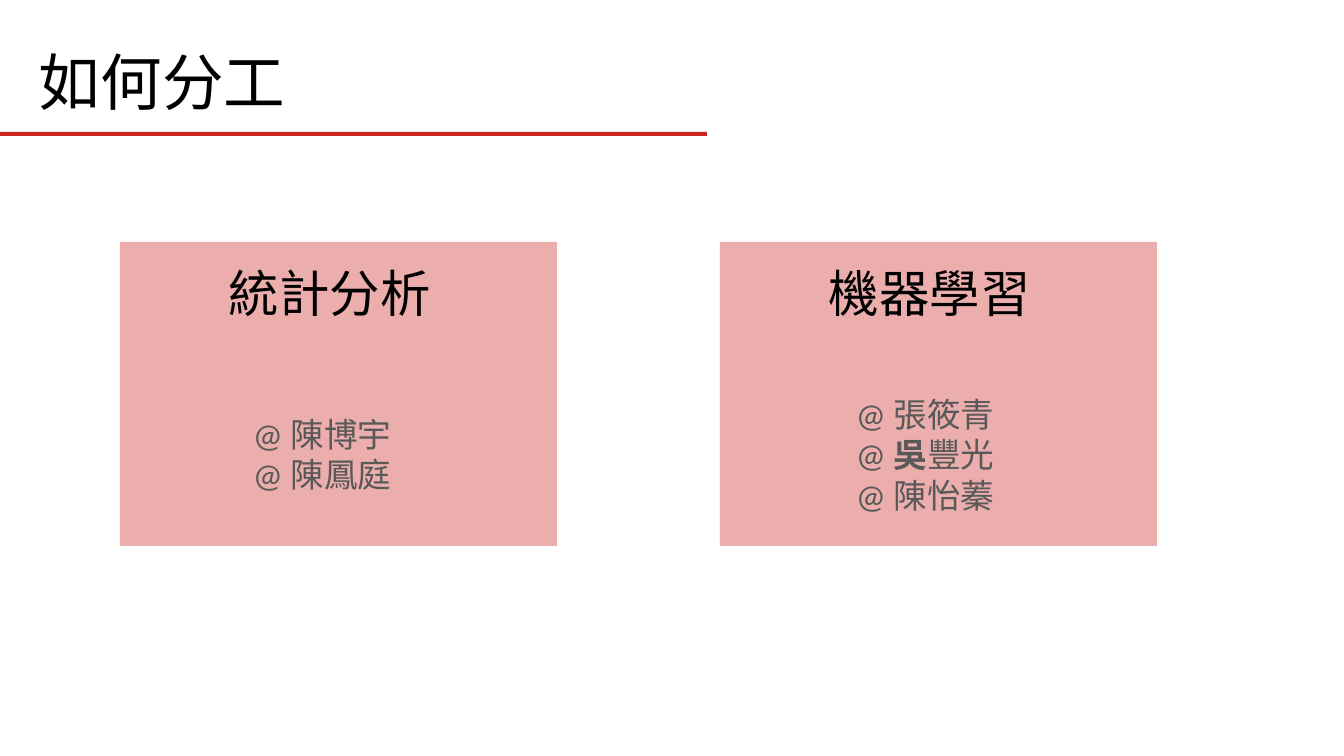
from lxml import etree
from pptx import Presentation
from pptx import util as u
from pptx.dml.color import RGBColor
from pptx.enum import shapes, text
from pptx.oxml.ns import qn

EMU_PER_PX = 914400 / 100.8
COLORS = {"red": "CB2521", "heading": "000000", "member": "595959"}


def px(length):
    return u.Emu(round(length * EMU_PER_PX))


class SlideBuilder:
    def __init__(self, deck):
        self.page = deck.slides.add_slide(deck.slide_layouts[6])

    def rectangle(self, left, top, width, height, color, opacity=100):
        box = self.page.shapes.add_shape(
            shapes.MSO_SHAPE.RECTANGLE, px(left), px(top), px(width), px(height))
        box.shadow.inherit = False
        box.fill.solid()
        box.fill.fore_color.rgb = RGBColor.from_string(COLORS[color])
        box.line.fill.background()
        if opacity < 100:
            fill_color = box.fill._xPr.find(qn("a:solidFill"))[0]
            etree.SubElement(fill_color, qn("a:alpha"), val=str(opacity * 1000))

    def textbox(self, left, top, width, height, lines, size, font, color, spacing=None):
        """Each line is a list of (words, bold) spans."""
        box = self.page.shapes.add_textbox(px(left), px(top), px(width), px(height))
        frame = box.text_frame
        frame.word_wrap = True
        frame.auto_size = text.MSO_AUTO_SIZE.SHAPE_TO_FIT_TEXT
        for index, line in enumerate(lines):
            para = frame.add_paragraph() if index else frame.paragraphs[0]
            para.line_spacing = spacing
            para.font.size = u.Pt(size)
            para.font.color.rgb = RGBColor.from_string(COLORS[color])
            para.font.name = font
            # East Asian characters take the same font
            etree.SubElement(para.font._element, qn("a:ea"), typeface=font)
            for words, bold in line:
                span = para.add_run()
                span.text = words
                if bold:
                    span.font.bold = True

    def heading(self, left, top, width, height, words, size, font):
        # Tight spacing offsets the tall line height of the CJK fonts
        self.textbox(left, top, width, height, [[(words, False)]],
                     size, font, "heading", spacing=0.84)

    def team(self, left, name, members, members_box):
        self.rectangle(left, 242, 437, 304, "red", opacity=37)
        self.heading(left + 99, 267, 240, 72, name, 36, "Noto Sans CJK JP")
        self.textbox(*members_box, members, 24, "Calibri", "member")


def main():
    deck = Presentation()
    deck.slide_width, deck.slide_height = px(1344), px(756)
    slide = SlideBuilder(deck)

    # Title and underline
    slide.rectangle(-12, 132, 719, 4, "red")
    slide.heading(29, 51, 645, 85, "如何分工", 44, "Noto Sans CJK SC")

    # Teams
    slide.team(120, "統計分析",
               [[("@ 陳博宇", False)], [("@ 陳鳳庭", False)]],
               (243, 409, 192, 92))
    slide.team(720, "機器學習",
               [[("@ 張筱青", False)],
                [("@ ", False), ("吳", True), ("豐光", False)],
                [("@ 陳怡蓁", False)]],
               (846, 389, 183, 132))

    deck.save("out.pptx")


if __name__ == "__main__":
    main()
